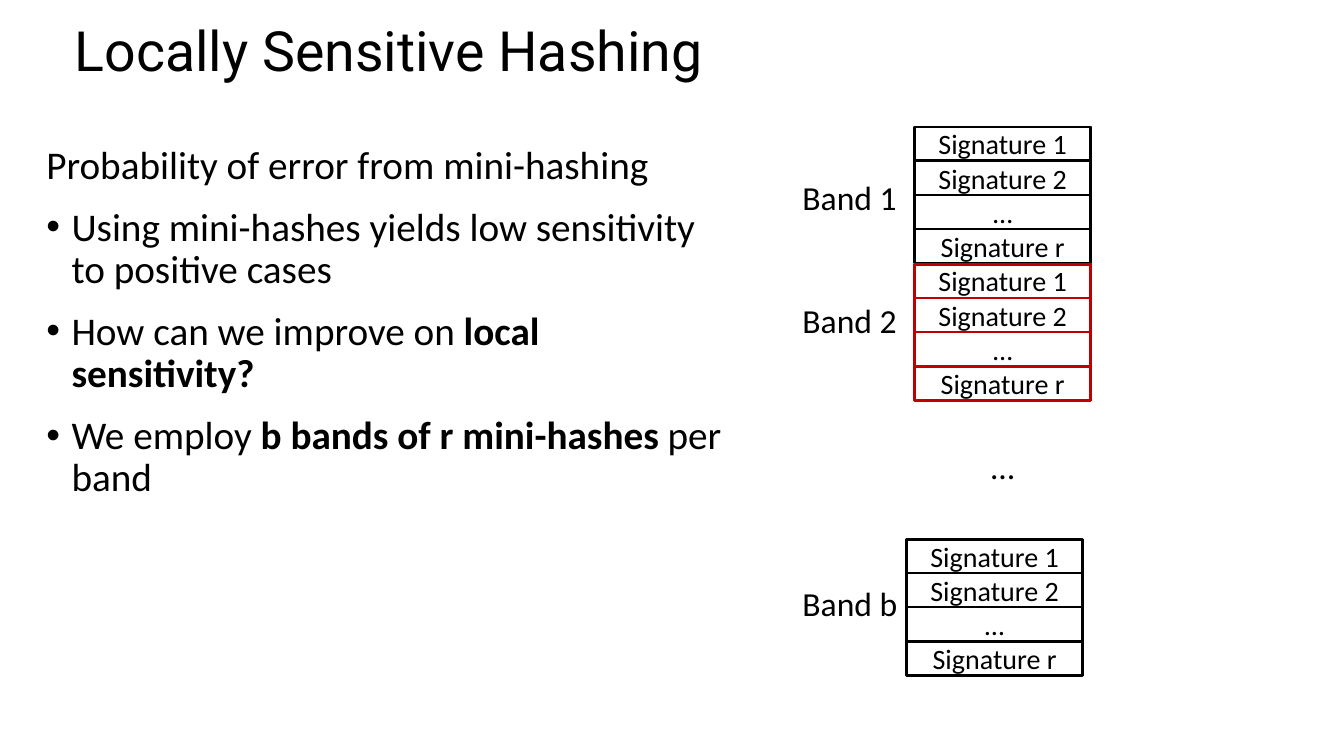
from lxml import etree
from pptx import Presentation
from pptx.dml.color import RGBColor
from pptx.enum import shapes, text
from pptx.oxml import ns
from pptx.util import Inches, Pt

BLACK = RGBColor(0x00, 0x00, 0x00)
RED = RGBColor(0xC0, 0x00, 0x00)

BAND_WIDTH, BAND_HEIGHT = 1.75, 1.35
ROW_HEIGHT, ROW_STEP = 0.33, 0.34
ROW_LABELS = ["Signature 1", "Signature 2", "…", "Signature r"]


def format_runs(paragraph, size, font="Calibri"):
    for run in paragraph.runs:
        run.font.size = Pt(size)
        run.font.name = font
        run.font.color.rgb = BLACK


def add_box(slide, left, top, height, color, line_width, label=""):
    """Add an unfilled outlined rectangle of band width with a centred label."""
    box = slide.shapes.add_shape(
        shapes.MSO_SHAPE.RECTANGLE,
        Inches(left), Inches(top), Inches(BAND_WIDTH), Inches(height))
    box.shadow.inherit = False
    box.fill.background()
    box.line.color.rgb = color
    box.line.width = Pt(line_width)
    if label:
        frame = box.text_frame
        frame.text = label
        frame.vertical_anchor = text.MSO_ANCHOR.MIDDLE
        frame.paragraphs[0].alignment = text.PP_ALIGN.CENTER
        format_runs(frame.paragraphs[0], 20)


presentation = Presentation()
presentation.slide_width = Inches(13.33)
presentation.slide_height = Inches(7.5)
slide = presentation.slides.add_slide(presentation.slide_layouts[1])

# Title
title = slide.shapes.title
title.left, title.top = Inches(0.64), Inches(0.24)
title.width, title.height = Inches(11.5), Inches(0.58)
title.text_frame.text = "Locally Sensitive Hashing"
title.text_frame.auto_size = text.MSO_AUTO_SIZE.NONE
title.text_frame.vertical_anchor = text.MSO_ANCHOR.MIDDLE
heading = title.text_frame.paragraphs[0]
heading.alignment = text.PP_ALIGN.LEFT
heading.line_spacing = 0.9
format_runs(heading, 39.6, "Roboto")

# Body: (bulleted, [(text, bold), ...])
body_lines = [
    (False, [("Probability of error from mini-hashing", False)]),
    (True, [("Using mini-hashes yields low sensitivity to positive cases", False)]),
    (True, [("How can we improve on ", False), ("local sensitivity?", True)]),
    (True, [("We employ ", False), ("b bands of r mini-hashes", True),
            (" per band", False)]),
]
body = slide.placeholders[1]
body.left, body.top = Inches(0.36), Inches(1.39)
body.width, body.height = Inches(6.92), Inches(6)
body.text_frame.auto_size = text.MSO_AUTO_SIZE.NONE
for index, (bulleted, pieces) in enumerate(body_lines):
    paragraph = (body.text_frame.add_paragraph() if index
                 else body.text_frame.paragraphs[0])
    for words, bold in pieces:
        run = paragraph.add_run()
        run.text = words
        run.font.bold = bold
    format_runs(paragraph, 28)
    paragraph.line_spacing = 0.9
    paragraph.space_before = Pt(14)
    properties = paragraph._p.get_or_add_pPr()
    indent = Inches(0.25) if bulleted else 0
    properties.set("marL", str(indent))
    properties.set("indent", str(-indent))
    if bulleted:
        etree.SubElement(properties, ns.qn("a:buFont"), typeface="Arial")
        etree.SubElement(properties, ns.qn("a:buChar"), char="•")
    else:
        etree.SubElement(properties, ns.qn("a:buNone"))

# Bands of signatures: label, label top, band left, band top, colour
bands = [
    ("Band 1", 1.71, 9.07, 1.26, BLACK),
    ("Band 2", 2.93, 9.07, 2.62, RED),
    ("Band b", 5.73, 8.99, 5.35, BLACK),
]
for name, label_top, left, top, color in bands:
    add_box(slide, left, top, BAND_HEIGHT, color, 2)
    for row, row_label in enumerate(ROW_LABELS):
        add_box(slide, left, top + row * ROW_STEP, ROW_HEIGHT, color, 1, row_label)
    label = slide.shapes.add_textbox(
        Inches(7.86), Inches(label_top), Inches(1.32), Inches(0.5))
    label.text_frame.word_wrap = True
    label.text_frame.auto_size = text.MSO_AUTO_SIZE.SHAPE_TO_FIT_TEXT
    label.text_frame.text = name
    format_runs(label.text_frame.paragraphs[0], 24)

# Ellipsis for the bands in between
ellipsis = slide.shapes.add_textbox(
    Inches(9.07), Inches(3.95), Inches(BAND_WIDTH), Inches(BAND_HEIGHT))
ellipsis.text_frame.word_wrap = True
ellipsis.text_frame.vertical_anchor = text.MSO_ANCHOR.MIDDLE
ellipsis.text_frame.text = "…"
ellipsis.text_frame.paragraphs[0].alignment = text.PP_ALIGN.CENTER
format_runs(ellipsis.text_frame.paragraphs[0], 24)

presentation.save("out.pptx")
